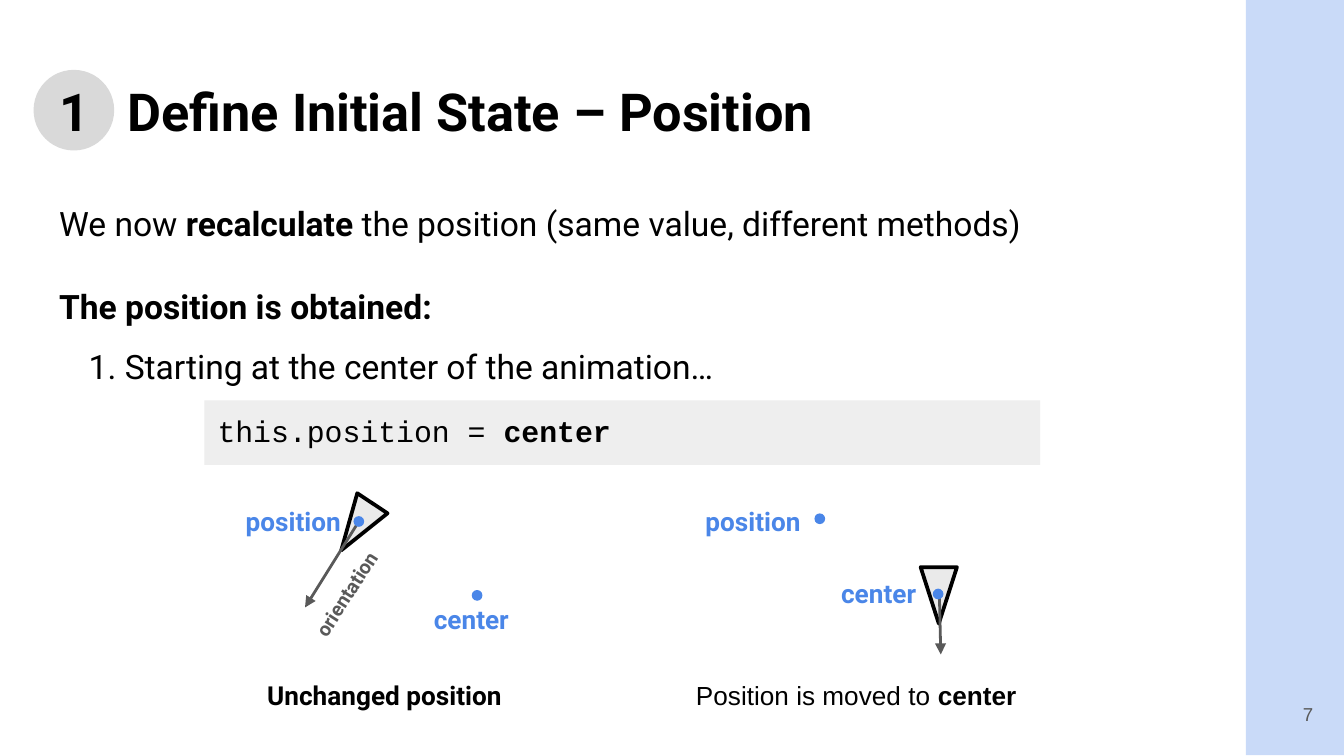
from dataclasses import dataclass

from lxml import etree
from pptx import Presentation
from pptx import util as u
from pptx.dml.color import RGBColor
from pptx.enum import shapes, text
from pptx.oxml.ns import qn

PX = 9144  # EMU per px, 100 px to the inch

BLACK = RGBColor(0x00, 0x00, 0x00)
GRAY = RGBColor(0x59, 0x59, 0x59)
BADGE = RGBColor(0xD9, 0xD9, 0xD9)
CODE_FILL = RGBColor(0xEE, 0xEE, 0xEE)
BOID_FILL = RGBColor(0xEA, 0xEA, 0xEA)
BLUE = RGBColor(0x4A, 0x86, 0xE8)
PANEL = RGBColor(0xC9, 0xDA, 0xF8)


@dataclass(frozen=True)
class Label:
    left: int
    top: int
    width: int
    height: int
    runs: tuple  # (wording, bold) pairs
    size: float = 14
    font: str = "Roboto"
    color: RGBColor = BLACK
    rotation: float = 0


@dataclass(frozen=True)
class Scene:
    boid: tuple  # left, top
    rotation: float
    arrow: tuple  # x1, y1, x2, y2
    dots: tuple  # left, top of each
    labels: tuple


def px(*lengths: int) -> list:
    return [u.Emu(length * PX) for length in lengths]


def fill_para(para, runs: tuple, size: float, font: str = "Roboto",
              color: RGBColor = BLACK) -> None:
    para.font.size = u.Pt(size)
    para.font.name = font
    para.font.color.rgb = color
    bolds = {bold for _, bold in runs}
    if len(bolds) == 1:
        para.font.bold = bolds.pop()
    for wording, bold in runs:
        span = para.add_run()
        span.text = wording
        if para.font.bold is None:
            span.font.bold = bold


def add_label(parent, label: Label):
    box = parent.add_textbox(*px(label.left, label.top, label.width, label.height))
    box.rotation = label.rotation
    box.text_frame.word_wrap = True
    fill_para(box.text_frame.paragraphs[0], label.runs, label.size, label.font, label.color)
    return box


def add_plain(parent, kind, bounds: tuple, fill: RGBColor):
    shape = parent.add_shape(kind, *px(*bounds))
    shape.shadow.inherit = False
    shape.fill.solid()
    shape.fill.fore_color.rgb = fill
    shape.line.fill.background()
    return shape


def add_arrow(parent, ends: tuple) -> None:
    arrow = parent.add_connector(shapes.MSO_CONNECTOR.STRAIGHT, *px(*ends))
    arrow.line.color.rgb = GRAY
    arrow.line.width = u.Pt(1.5)
    props = arrow._element.spPr
    etree.SubElement(props.find(qn("a:ln")), qn("a:tailEnd"), type="triangle")
    etree.SubElement(props, qn("a:effectLst"))


def add_scene(page, scene: Scene) -> None:
    group = page.shapes.add_group_shape().shapes
    boid = add_plain(group, shapes.MSO_SHAPE.ISOSCELES_TRIANGLE,
                     (*scene.boid, 27, 42), BOID_FILL)
    boid.rotation = scene.rotation
    boid.line.color.rgb = BLACK
    boid.line.width = u.Pt(2)
    add_arrow(group, scene.arrow)
    for left, top in scene.dots:
        add_plain(group, shapes.MSO_SHAPE.OVAL, (left, top, 8, 8), BLUE)
    for label in scene.labels:
        add_label(group, label)


def place(holder, bounds: tuple):
    holder.left, holder.top, holder.width, holder.height = px(*bounds)
    frame = holder.text_frame
    frame.word_wrap = True
    frame.auto_size = text.MSO_AUTO_SIZE.NONE
    frame.vertical_anchor = text.MSO_ANCHOR.TOP
    frame.margin_left = frame.margin_right = px(10)[0]
    frame.margin_top = frame.margin_bottom = px(10)[0]
    return frame


SCENES = (
    Scene((252, 371), 213.5, (267, 388, 227, 452), ((263, 384), (351, 439)), (
        Label(189, 501, 237, 34, (("Unchanged position", True),)),
        Label(173, 371, 115, 34, (("position", True),), color=BLUE),
        Label(313, 444, 86, 34, (("center", True),), color=BLUE),
        Label(201, 406, 143, 29, (("orientation", True),), 10.5, color=GRAY, rotation=302.9),
    )),
    Scene((685, 422), 180, (699, 444, 700, 487), ((606, 382), (694, 438)), (
        Label(515, 371, 115, 34, (("position", True),), color=BLUE),
        Label(616, 425, 79, 34, (("center", True),), color=BLUE),
        Label(508, 501, 275, 34, (("Position is moved to ", False), ("center", True)),
              font="Arial"),
    )),
)

# Runs, space before in points, indent in px
BODY = (
    ((("We now ", False), ("recalculate", True),
      (" the position (same value, different methods)", False)), 0, 0),
    ((("The position is obtained:", True),), 12, 0),
    ((("1. Starting at the center of the animation…", False),), 0, 22),
)


def add_title(page) -> None:
    frame = place(page.shapes.title, (34, 49, 932, 63))
    para = frame.paragraphs[0]
    para.alignment = text.PP_ALIGN.LEFT
    # The tab stop sets the gap between the number and the heading
    stops = etree.SubElement(para._p.get_or_add_pPr(), qn("a:tabLst"))
    etree.SubElement(stops, qn("a:tab"), pos=str(51 * PX), algn="l")
    fill_para(para, (("1\tDefine Initial State – Position", True),), 28)
    badge = add_plain(page.shapes, shapes.MSO_SHAPE.OVAL, (25, 52, 60, 60), BADGE)
    page.shapes.title._element.addprevious(badge._element)


def add_body(page) -> None:
    frame = place(page.placeholders[1], (34, 126, 863, 182))
    for index, (runs, before, indent) in enumerate(BODY):
        para = frame.add_paragraph() if index else frame.paragraphs[0]
        para.line_spacing = 1.5
        para.space_before = u.Pt(before)
        props = para._p.get_or_add_pPr()
        props.set("marL", str(indent * PX))
        props.set("indent", "0")
        etree.SubElement(props, qn("a:buNone"))
        fill_para(para, runs, 18)


def main() -> None:
    deck = Presentation()
    deck.slide_width = px(1000)[0]
    deck.slide_height = u.Emu(deck.slide_width * 9 // 16)
    page = deck.slides.add_slide(deck.slide_layouts[1])

    # Side panel and page number
    add_plain(page.shapes, shapes.MSO_SHAPE.RECTANGLE, (927, -2, 73, 564), PANEL)
    number = add_label(page.shapes, Label(927, 510, 60, 43, (("7", False),), 10, "Arial", GRAY))
    number.text_frame.vertical_anchor = text.MSO_ANCHOR.MIDDLE
    number.text_frame.paragraphs[0].alignment = text.PP_ALIGN.RIGHT

    add_title(page)
    add_body(page)

    # Before and after diagrams
    for scene in SCENES:
        add_scene(page, scene)

    # Code line
    code = page.shapes.add_group_shape().shapes
    add_plain(code, shapes.MSO_SHAPE.RECTANGLE, (152, 298, 622, 48), CODE_FILL)
    add_label(code, Label(152, 302, 622, 37, (("this.position = ", False), ("center", True)),
                          16, "Courier New"))

    deck.save("out.pptx")


if __name__ == "__main__":
    main()
